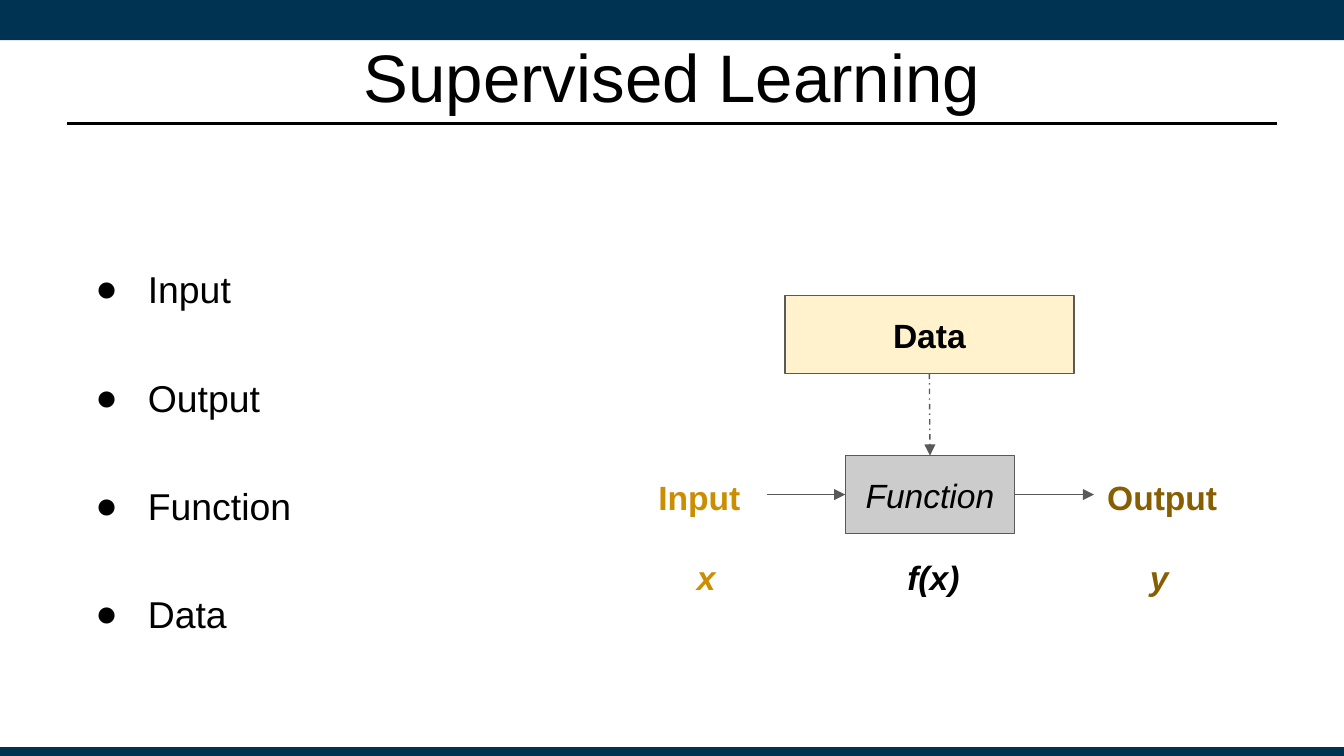
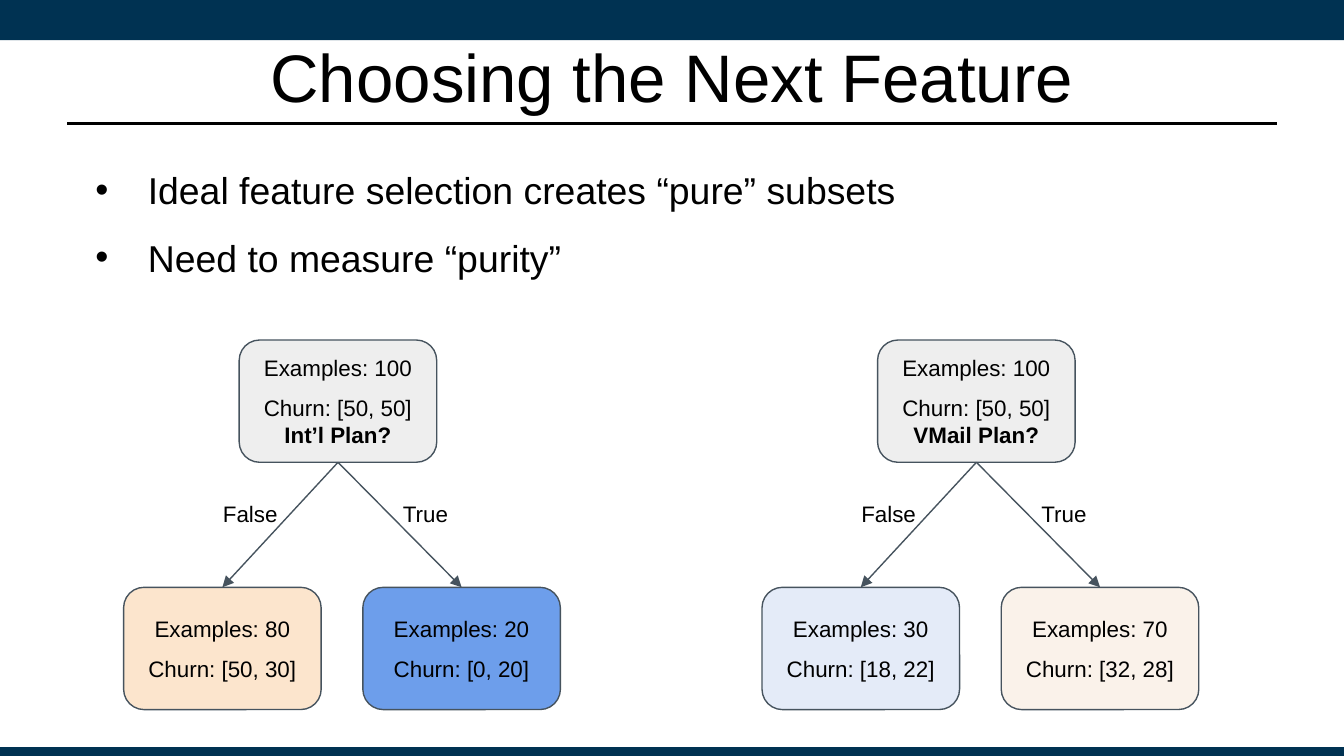
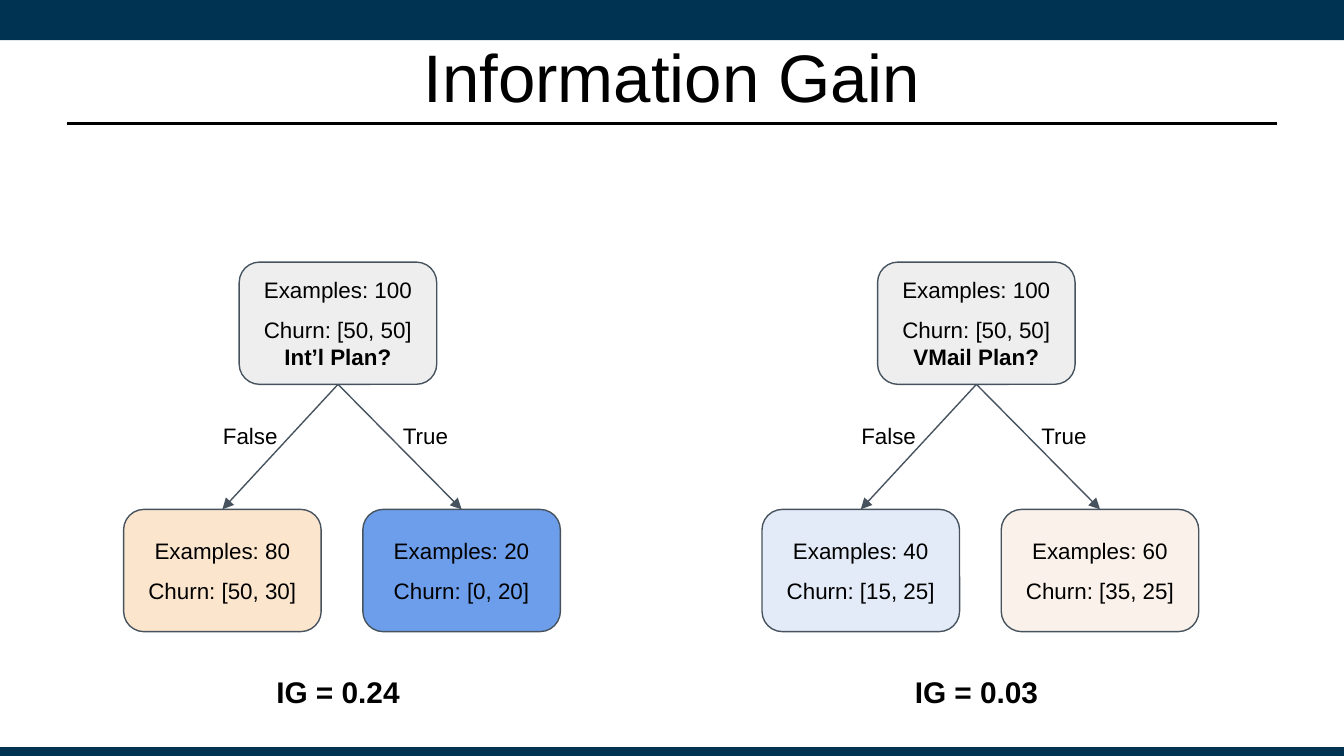
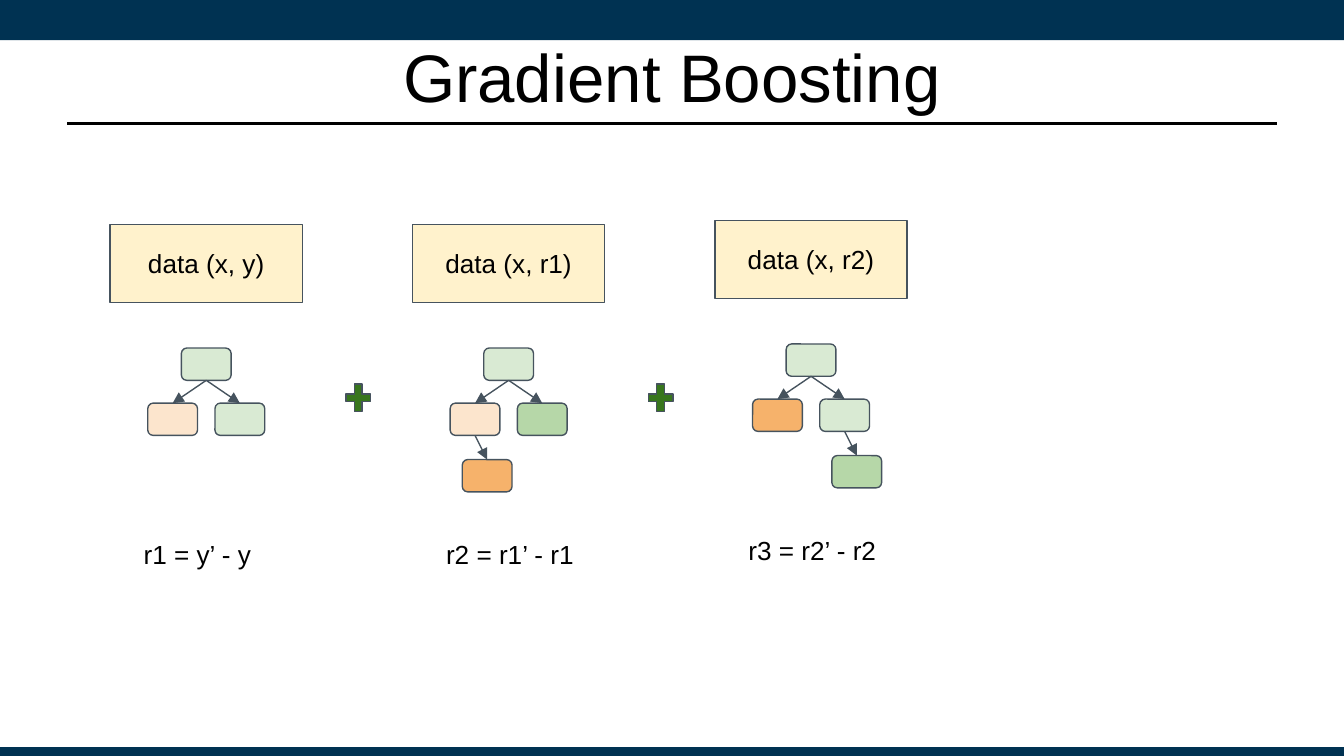
from dataclasses import dataclass

from lxml.etree import SubElement
from pptx import Presentation
from pptx.dml.color import RGBColor
from pptx.enum.dml import MSO_LINE
from pptx.enum.shapes import MSO_CONNECTOR, MSO_SHAPE
from pptx.enum.text import MSO_ANCHOR, MSO_AUTO_SIZE, PP_ALIGN
from pptx.oxml.ns import qn
from pptx.util import Inches, Pt


@dataclass(frozen=True)
class Theme:
    font: str = "Arial"
    band: str = "003252"
    ink: str = "000000"
    outline: str = "46535E"
    gray_outline: str = "595959"
    function: str = "CCCCCC"
    data: str = "FFF2CC"
    input: str = "CB8D01"
    output: str = "875E01"
    root: str = "EEEEEE"
    pale_orange: str = "FCE5CD"
    orange: str = "F6B26B"
    blue: str = "6D9EEB"
    pale_blue: str = "E4EBF8"
    cream: str = "FAF2EA"
    pale_green: str = "D9EAD3"
    green: str = "B6D7A8"
    plus: str = "38761D"
    title_size: int = 36
    list_size: int = 20
    diagram_size: int = 18
    gain_size: int = 16
    step_size: int = 14
    node_size: int = 12


THEME = Theme()
TOP, LEFT, BOTTOM, RIGHT = range(4)

# Content
LEARNING_PARTS = ["Input", "Output", "Function", "Data"]
FLOW_LABELS = [  # text, left, top, width, colour, italic, alignment
    ("Input", 4.8, 3.45, 0.91, THEME.input, False, PP_ALIGN.LEFT),
    ("Output", 8.14, 3.45, 1.06, THEME.output, False, PP_ALIGN.LEFT),
    ("x", 4.8, 4.04, 0.91, THEME.input, True, PP_ALIGN.CENTER),
    ("f(x)", 6.49, 4.04, 0.91, THEME.ink, True, PP_ALIGN.CENTER),
    ("y", 8.17, 4.04, 0.91, THEME.output, True, PP_ALIGN.CENTER),
]
FEATURE_POINTS = ["Ideal feature selection creates “pure” subsets",
                  "Need to measure “purity”"]
PLAN_BRANCHES = [("Examples: 80", "Churn: [50, 30]"), ("Examples: 20", "Churn: [0, 20]")]
CHOICE_TREES = [
    ("Int’l Plan?", PLAN_BRANCHES, None),
    ("VMail Plan?", [("Examples: 30", "Churn: [18, 22]"),
                     ("Examples: 70", "Churn: [32, 28]")], None),
]
GAIN_TREES = [
    ("Int’l Plan?", PLAN_BRANCHES, "IG = 0.24"),
    ("VMail Plan?", [("Examples: 40", "Churn: [15, 25]"),
                     ("Examples: 60", "Churn: [35, 25]")], "IG = 0.03"),
]
BRANCH_FILLS = [(THEME.pale_orange, THEME.blue), (THEME.pale_blue, THEME.cream)]
BOOSTING_STEPS = [  # data, residual, top, branch fills, (leaf's parent, leaf fill)
    ("data (x, y)", "r1 = y’ - y", 1.67, (THEME.pale_orange, THEME.pale_green), None),
    ("data (x, r1)", "r2 = r1’ - r1", 1.67, (THEME.pale_orange, THEME.green),
     (0, THEME.orange)),
    ("data (x, r2)", "r3 = r2’ - r2", 1.64, (THEME.orange, THEME.pale_green),
     (1, THEME.green)),
]


# Drawing helpers
def write(frame, text, size, color=THEME.ink, bold=False, italic=False,
          align=PP_ALIGN.CENTER, spacing=1.0, before=0, after=0, bullet=None):
    paragraph = frame.add_paragraph() if frame.text else frame.paragraphs[0]
    paragraph.alignment = align
    paragraph.line_spacing = spacing
    paragraph.space_before, paragraph.space_after = Pt(before), Pt(after)
    if bullet:
        properties = paragraph._p.get_or_add_pPr()
        properties.set("marL", str(Inches(0.5)))
        properties.set("indent", str(Inches(-0.39)))
        bullet_color = SubElement(properties, qn("a:buClr"))
        SubElement(bullet_color, qn("a:srgbClr"), val=color)
        SubElement(properties, qn("a:buFont"), typeface=THEME.font)
        SubElement(properties, qn("a:buChar"), char=bullet)
    run = paragraph.add_run()
    run.text = text
    run.font.name, run.font.size = THEME.font, Pt(size)
    run.font.bold, run.font.italic = bold, italic
    run.font.color.rgb = RGBColor.from_string(color)


def set_frame(frame, anchor=MSO_ANCHOR.TOP, vertical_inset=0.1):
    frame.word_wrap = True
    frame.auto_size = MSO_AUTO_SIZE.NONE
    frame.vertical_anchor = anchor
    frame.margin_left = frame.margin_right = Inches(0.1)
    frame.margin_top = frame.margin_bottom = Inches(vertical_inset)
    return frame


def add_label(slide, box, text, size, **text_format):
    label = slide.shapes.add_textbox(*map(Inches, box))
    write(set_frame(label.text_frame), text, size, **text_format)


def add_box(slide, kind, box, fill, outline=THEME.outline):
    shape = slide.shapes.add_shape(kind, *map(Inches, box))
    shape.shadow.inherit = False
    shape.fill.solid()
    shape.fill.fore_color.rgb = RGBColor.from_string(fill)
    if outline:
        shape.line.color.rgb = RGBColor.from_string(outline)
        shape.line.width = Pt(0.75)
    else:
        shape.line.fill.background()
    set_frame(shape.text_frame, MSO_ANCHOR.MIDDLE)
    return shape


def add_line(slide, start=(0, 0), end=(0, 0), source=None, target=None,
             color=THEME.outline, width=0.75, dash=None, arrow=True):
    """Join points, or (shape, side) pairs given as source and target."""
    line = slide.shapes.add_connector(MSO_CONNECTOR.STRAIGHT, *map(Inches, (*start, *end)))
    if source:
        line.begin_connect(*source)
    if target:
        line.end_connect(*target)
    line.line.color.rgb = RGBColor.from_string(color)
    line.line.width = Pt(width)
    if dash:
        line.line.dash_style = dash
    properties = line.element.spPr
    if arrow:
        SubElement(properties.find(qn("a:ln")), qn("a:tailEnd"), type="triangle")
    SubElement(properties, qn("a:effectLst"))
    return line


def place(shape, box):
    shape.left, shape.top, shape.width, shape.height = map(Inches, box)


# Shared slide parts
def decorate_master(presentation, slide):
    """Draw the bands and the title rule, then move them to the master."""
    bands = [add_box(slide, MSO_SHAPE.RECTANGLE, box, THEME.band, None)
             for box in ((0, 0, 10, 0.3), (0, 5.56, 10, 0.08))]
    rule = add_line(slide, (0.5, 0.92), (9.5, 0.92), color=THEME.ink, width=1.25, arrow=False)
    master_tree = presentation.slide_master.placeholders[0].element.getparent()
    for part in (*bands, rule):
        master_tree.append(part.element)


def add_slide(presentation, title, with_list=False):
    layout = presentation.slide_layouts.get_by_name(
        "Title and Content" if with_list else "Title Only")
    slide = presentation.slides.add_slide(layout)
    place(slide.shapes.title, (0.5, 0.25, 9, 0.63))
    frame = set_frame(slide.shapes.title.text_frame, MSO_ANCHOR.MIDDLE, 0.05)
    write(frame, title, THEME.title_size)
    return slide


def fill_list(slide, items, box, bullet, spacing, gap=0, inset=0.1):
    body = slide.placeholders[1]
    place(body, box)
    frame = set_frame(body.text_frame, vertical_inset=inset)
    for index, item in enumerate(items):
        write(frame, item, THEME.list_size, align=PP_ALIGN.LEFT, spacing=spacing,
              before=gap if index else 0, bullet=bullet)


# Supervised learning diagram
def draw_learning_flow(slide):
    gray = THEME.gray_outline
    function = add_box(slide, MSO_SHAPE.RECTANGLE, (6.29, 3.39, 1.26, 0.58),
                       THEME.function, gray)
    write(function.text_frame, "Function", THEME.diagram_size, italic=True)
    data = add_box(slide, MSO_SHAPE.RECTANGLE, (5.84, 2.2, 2.15, 0.58), THEME.data, gray)
    write(data.text_frame, "Data", THEME.diagram_size, bold=True)
    for text, left, top, width, color, italic, align in FLOW_LABELS:
        add_label(slide, (left, top, width, 0.48), text, THEME.diagram_size,
                  color=color, bold=True, italic=italic, align=align)
    add_line(slide, start=(5.71, 3.68), target=(function, LEFT), color=gray)
    add_line(slide, end=(8.14, 3.68), source=(function, RIGHT), color=gray)
    add_line(slide, source=(data, BOTTOM), target=(function, TOP), color=gray,
             dash=MSO_LINE.DASH_DOT)


# Decision trees
def add_node(slide, left, top, fill, examples, churn, question=None):
    node = add_box(slide, MSO_SHAPE.ROUNDED_RECTANGLE, (left, top, 1.47, 0.91), fill)
    write(node.text_frame, examples, THEME.node_size)
    write(node.text_frame, churn, THEME.node_size, spacing=1.5)
    if question:
        write(node.text_frame, question, THEME.node_size, bold=True)
    return node


def draw_decision_trees(slide, trees, top):
    for index, (question, branches, gain) in enumerate(trees):
        left = 0.92 + 4.75 * index
        root = add_node(slide, left + 0.86, top, THEME.root,
                        "Examples: 100", "Churn: [50, 50]", question)
        for side, (branch, fill) in enumerate(zip(branches, BRANCH_FILLS[index])):
            child = add_node(slide, left + 1.78 * side, top + 1.84, fill, *branch)
            add_line(slide, source=(root, BOTTOM), target=(child, TOP))
        for text, offset, width in (("False", 0.64, 0.69), ("True", 1.98, 0.6)):
            add_label(slide, (left + offset, top + 1.09, width, 0.4), text,
                      THEME.node_size, align=PP_ALIGN.LEFT)
        if gain:
            add_label(slide, (left + 0.27, top + 2.96, 2.65, 0.47), gain,
                      THEME.gain_size, bold=True)


# Gradient boosting steps
def draw_boosting_steps(slide):
    def add_small_node(left, top, fill, parent=None):
        node = add_box(slide, MSO_SHAPE.ROUNDED_RECTANGLE, (left, top, 0.37, 0.24), fill)
        if parent:
            add_line(slide, source=(parent, BOTTOM), target=(node, TOP))
        return node

    for index, (data, residual, top, fills, leaf) in enumerate(BOOSTING_STEPS):
        left = 0.82 + 2.25 * index
        box = add_box(slide, MSO_SHAPE.RECTANGLE, (left, top, 1.43, 0.58), THEME.data)
        write(box.text_frame, data, THEME.step_size)
        root = add_small_node(left + 0.53, top + 0.92, THEME.pale_green)
        branch_lefts = [left + 0.28, left + 0.78]
        branches = [add_small_node(branch_left, top + 1.33, fill, root)
                    for branch_left, fill in zip(branch_lefts, fills)]
        if leaf:
            side, leaf_fill = leaf
            add_small_node(branch_lefts[side] + 0.09, top + 1.75, leaf_fill, branches[side])
        add_label(slide, (left + 0.15, top + 2.24, 1.19, 0.44), residual,
                  THEME.step_size, align=PP_ALIGN.LEFT)
        if index < len(BOOSTING_STEPS) - 1:
            plus = add_box(slide, MSO_SHAPE.MATH_PLUS, (left + 1.72, 2.82, 0.25, 0.28),
                           THEME.plus)
            plus.adjustments[0] = 0.235


def main():
    presentation = Presentation()
    presentation.slide_width = Inches(10)
    presentation.slide_height = Inches(10) * 9 // 16

    learning = add_slide(presentation, "Supervised Learning", with_list=True)
    decorate_master(presentation, learning)
    fill_list(learning, LEARNING_PARTS, (0.5, 1.55, 3.31, 2.98), "●", spacing=2.0, gap=10)
    draw_learning_flow(learning)

    choosing = add_slide(presentation, "Choosing the Next Feature", with_list=True)
    fill_list(choosing, FEATURE_POINTS, (0.5, 1.03, 8.2, 1.07), "•", spacing=1.5, inset=0.05)
    draw_decision_trees(choosing, CHOICE_TREES, top=2.53)

    gain = add_slide(presentation, "Information Gain")
    draw_decision_trees(gain, GAIN_TREES, top=1.95)

    boosting = add_slide(presentation, "Gradient Boosting")
    draw_boosting_steps(boosting)

    presentation.save("out.pptx")


if __name__ == "__main__":
    main()
